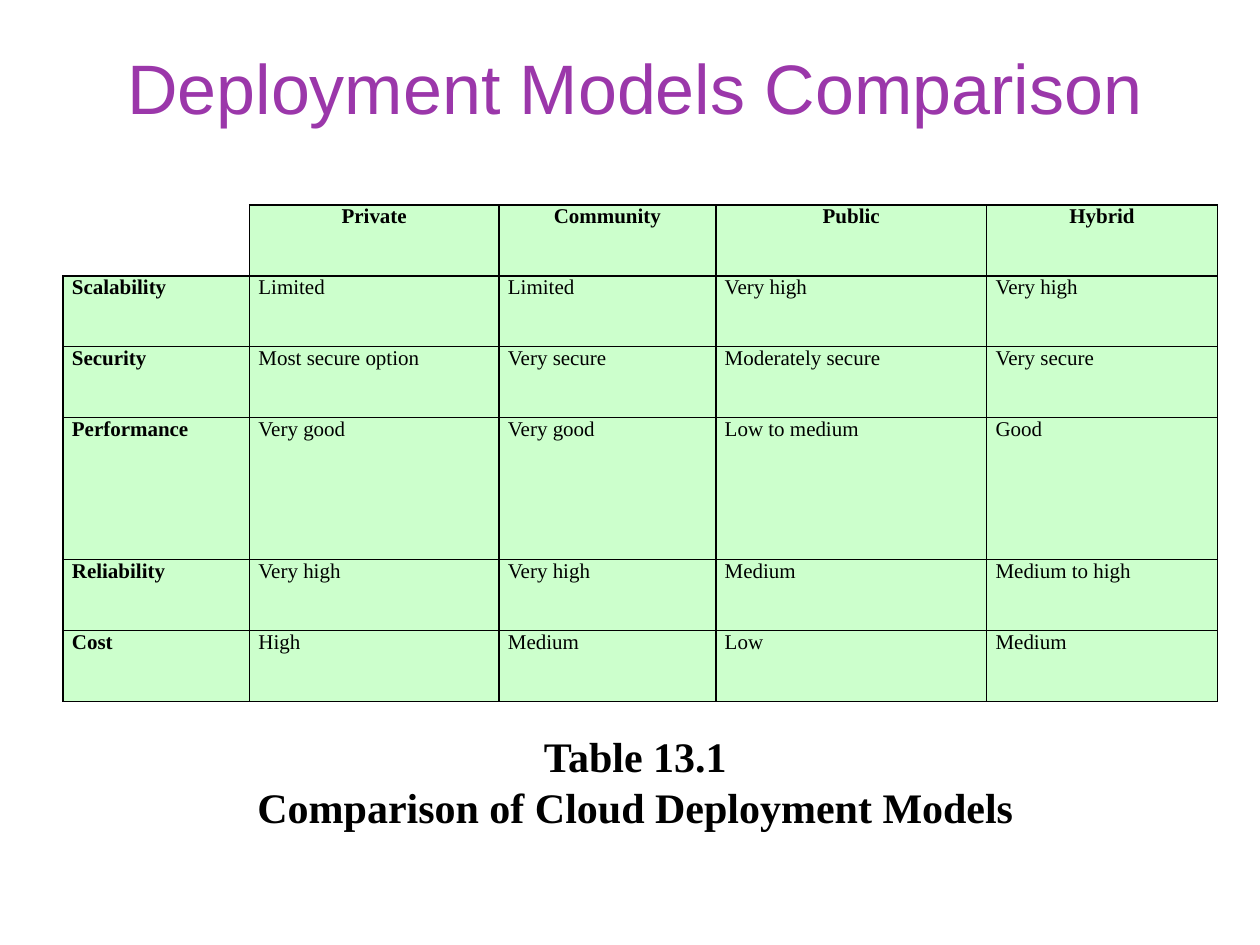
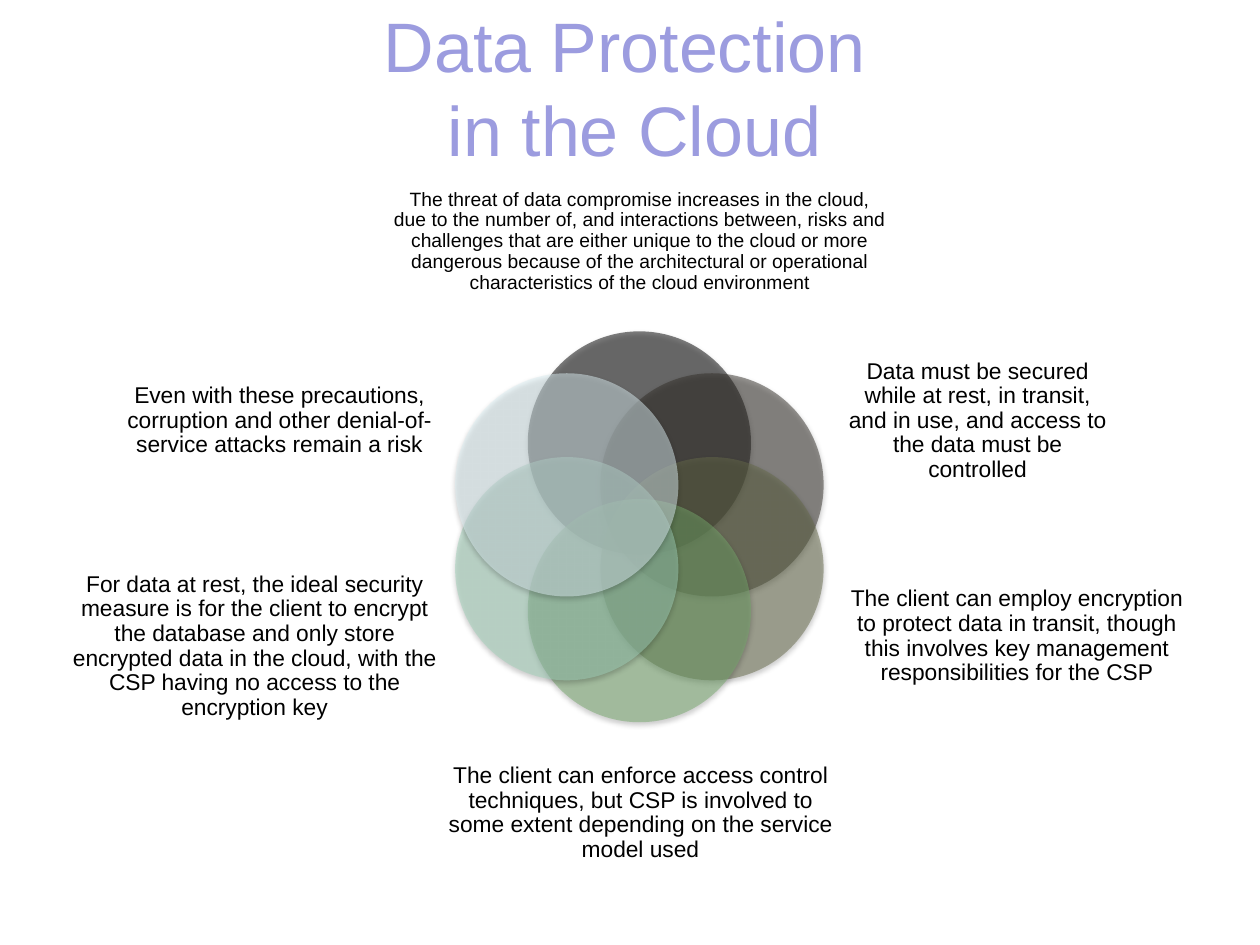
"""Builds two slides on cloud deployment models and data protection."""
from math import cos, pi, sin

from lxml.etree import SubElement
from pptx import Presentation
from pptx.dml.color import RGBColor
from pptx.enum.shapes import MSO_SHAPE
from pptx.enum.text import MSO_ANCHOR, MSO_AUTO_SIZE, PP_ALIGN
from pptx.oxml import parse_xml
from pptx.oxml.ns import nsdecls, qn
from pptx.util import Cm, Pt

BLACK = RGBColor(0x00, 0x00, 0x00)
WHITE = RGBColor(0xFF, 0xFF, 0xFF)
PURPLE = RGBColor(0x9B, 0x37, 0xAA)
LAVENDER = RGBColor(0x9C, 0x9C, 0xDF)
MINT = RGBColor(0xCC, 0xFF, 0xCC)
PETAL_COLORS = [
    BLACK,
    RGBColor(0x34, 0x30, 0x2A),
    RGBColor(0x66, 0x6A, 0x4A),
    RGBColor(0x76, 0xA8, 0x6C),
    RGBColor(0xA0, 0xD0, 0xB8),
    RGBColor(0xDC, 0xEE, 0xF2),
]

SANS = "Arial"
SERIF = "Times New Roman"

COMPARISON = [
    ["", "Private", "Community", "Public", "Hybrid"],
    ["Scalability", "Limited", "Limited", "Very high", "Very high"],
    ["Security", "Most secure option", "Very secure", "Moderately secure", "Very secure"],
    ["Performance", "Very good", "Very good", "Low to medium", "Good"],
    ["Reliability", "Very high", "Very high", "Medium", "Medium to high"],
    ["Cost", "High", "Medium", "Low", "Medium"],
]
COLUMN_WIDTHS = [3.76, 5.03, 4.37, 5.46, 4.65]
ROW_HEIGHT = 1.43
ROW_SPANS = [1, 1, 1, 2, 1, 1]

PROTECTION_NOTES = [
    (7.92, 3.33, 9.96, 3.07, 11,
     "The threat of data compromise increases in the cloud, due to the number of, and "
     "interactions between, risks and challenges that are either unique to the cloud or "
     "more dangerous because of the architectural or operational characteristics of the "
     "cloud environment"),
    (17.04, 6.81, 5.33, 3.35, 13,
     "Data must be secured while at rest, in transit, and in use, and access to the data "
     "must be controlled"),
    (16.94, 10.95, 7.11, 3.76, 13,
     "The client can employ encryption to protect data in transit, though this involves "
     "key management responsibilities for the CSP"),
    (8.86, 14.86, 8.1, 3.07, 13,
     "The client can enforce access control techniques, but CSP is involved to some extent "
     "depending on the service model used"),
    (1.37, 11.15, 7.52, 3.76, 13,
     "For data at rest, the ideal security measure is for the client to encrypt the "
     "database and only store encrypted data in the cloud, with the CSP having no access "
     "to the encryption key"),
    (2.34, 6.6, 6.58, 3.76, 13,
     "Even with these precautions, corruption and other denial-of-service attacks remain "
     "a risk"),
]
FLOWER_CENTER = (12.89, 10.62)
FLOWER_RADIUS = 1.69
PETAL_SIZE = 4.5


class SlideBuilder:
    """Holds the deck style and draws elements on the current slide."""

    def __init__(self):
        self.deck = Presentation()
        self.deck.slide_width = Cm(25.4)
        self.deck.slide_height = Cm(19.05)
        self.page = None

    def start_page(self, title, color):
        """Add a slide with a formatted title."""
        self.page = self.deck.slides.add_slide(self.deck.slide_layouts[5])
        box = self.page.shapes.title
        box.left, box.top, box.width, box.height = Cm(0.89), Cm(0.53), Cm(23.8), Cm(2.41)
        frame = box.text_frame
        frame.text = title
        frame.auto_size = MSO_AUTO_SIZE.NONE
        frame.vertical_anchor = MSO_ANCHOR.MIDDLE
        self.style(frame.paragraphs[0], SANS, 40, color=color)

    def style(self, paragraph, font_name, size, bold=False, color=BLACK,
              align=PP_ALIGN.CENTER):
        """Set the font and alignment of a paragraph."""
        paragraph.alignment = align
        font = paragraph.font
        font.name = font_name
        font.size = Pt(size)
        font.bold = bold
        font.color.rgb = color

    def text_box(self, left, top, width, height, text):
        """Add a wrapping text box and return its frame."""
        box = self.page.shapes.add_textbox(Cm(left), Cm(top), Cm(width), Cm(height))
        frame = box.text_frame
        frame.word_wrap = True
        frame.text = text
        return frame

    def caption(self, left, top, width, height, text):
        """Add a bold serif caption."""
        for paragraph in self.text_box(left, top, width, height, text).paragraphs:
            self.style(paragraph, SERIF, 24, bold=True)

    def note(self, left, top, width, height, size, text):
        """Add a centred note without insets."""
        frame = self.text_box(left, top, width, height, text)
        frame.margin_left = frame.margin_right = frame.margin_top = frame.margin_bottom = 0
        frame.vertical_anchor = MSO_ANCHOR.MIDDLE
        paragraph = frame.paragraphs[0]
        paragraph.line_spacing = 0.9
        self.style(paragraph, SANS, size)

    def petal(self, center_x, center_y, size, color):
        """Add a half-transparent circle with a soft shadow."""
        circle = self.page.shapes.add_shape(
            MSO_SHAPE.OVAL, Cm(center_x - size / 2), Cm(center_y - size / 2),
            Cm(size), Cm(size))
        circle.line.fill.background()
        circle.fill.solid()
        circle.fill.fore_color.rgb = color
        properties = circle._element.spPr
        SubElement(properties.find(".//" + qn("a:srgbClr")), qn("a:alpha"), val="50000")
        circle.shadow.inherit = False
        properties.find(qn("a:effectLst")).append(parse_xml(
            f'<a:outerShdw {nsdecls("a")} blurRad="40000" dist="20000" dir="5400000" '
            'rotWithShape="0"><a:srgbClr val="000000"><a:alpha val="38000"/>'
            '</a:srgbClr></a:outerShdw>'))

    def border(self, cell, hidden=()):
        """Draw the sides of a cell, leaving out the hidden ones."""
        for side in "LRTB":
            paint = ("<a:noFill/>" if side in hidden else
                     f'<a:solidFill><a:srgbClr val="{BLACK}"/></a:solidFill>')
            cell._tc.get_or_add_tcPr().append(parse_xml(
                f'<a:ln{side} {nsdecls("a")} w="12700">{paint}</a:ln{side}>'))

    def table(self, left, top, rows, widths, heights):
        """Add a bordered table with bold headings and an empty corner."""
        grid = self.page.shapes.add_table(
            len(rows), len(widths), Cm(left), Cm(top),
            Cm(sum(widths)), Cm(sum(heights))).table
        grid.first_row = grid.horz_banding = False
        for column, width in zip(grid.columns, widths):
            column.width = Cm(width)
        for row, height in zip(grid.rows, heights):
            row.height = Cm(height)
        for row_index, row in enumerate(rows):
            for column_index, text in enumerate(row):
                cell = grid.cell(row_index, column_index)
                self.border(cell, hidden="" if text else "LT")
                cell.fill.solid()
                cell.fill.fore_color.rgb = MINT if text else WHITE
                cell.margin_left = cell.margin_right = Cm(0.18)
                cell.margin_top = cell.margin_bottom = 0
                cell.text = text
                paragraph = cell.text_frame.paragraphs[0]
                paragraph.space_after = Pt(3)
                self.style(paragraph, SERIF, 12, bold=0 in (row_index, column_index),
                           align=PP_ALIGN.LEFT if row_index else PP_ALIGN.CENTER)


def main():
    """Build both slides and save the deck."""
    builder = SlideBuilder()

    builder.start_page("Deployment Models Comparison", PURPLE)
    builder.table(1.27, 4.13, COMPARISON, COLUMN_WIDTHS,
                  [ROW_HEIGHT * span for span in ROW_SPANS])
    builder.caption(1.27, 14.61, 23.29, 2.31,
                    "Table 13.1 \nComparison of Cloud Deployment Models ")

    builder.start_page("Data Protection \vin the Cloud", LAVENDER)
    center_x, center_y = FLOWER_CENTER
    for index, (color, note) in enumerate(zip(PETAL_COLORS, PROTECTION_NOTES)):
        angle = index * 2 * pi / len(PETAL_COLORS)
        builder.petal(center_x + FLOWER_RADIUS * sin(angle),
                      center_y - FLOWER_RADIUS * cos(angle), PETAL_SIZE, color)
        builder.note(*note)

    builder.deck.save("out.pptx")


if __name__ == "__main__":
    main()
